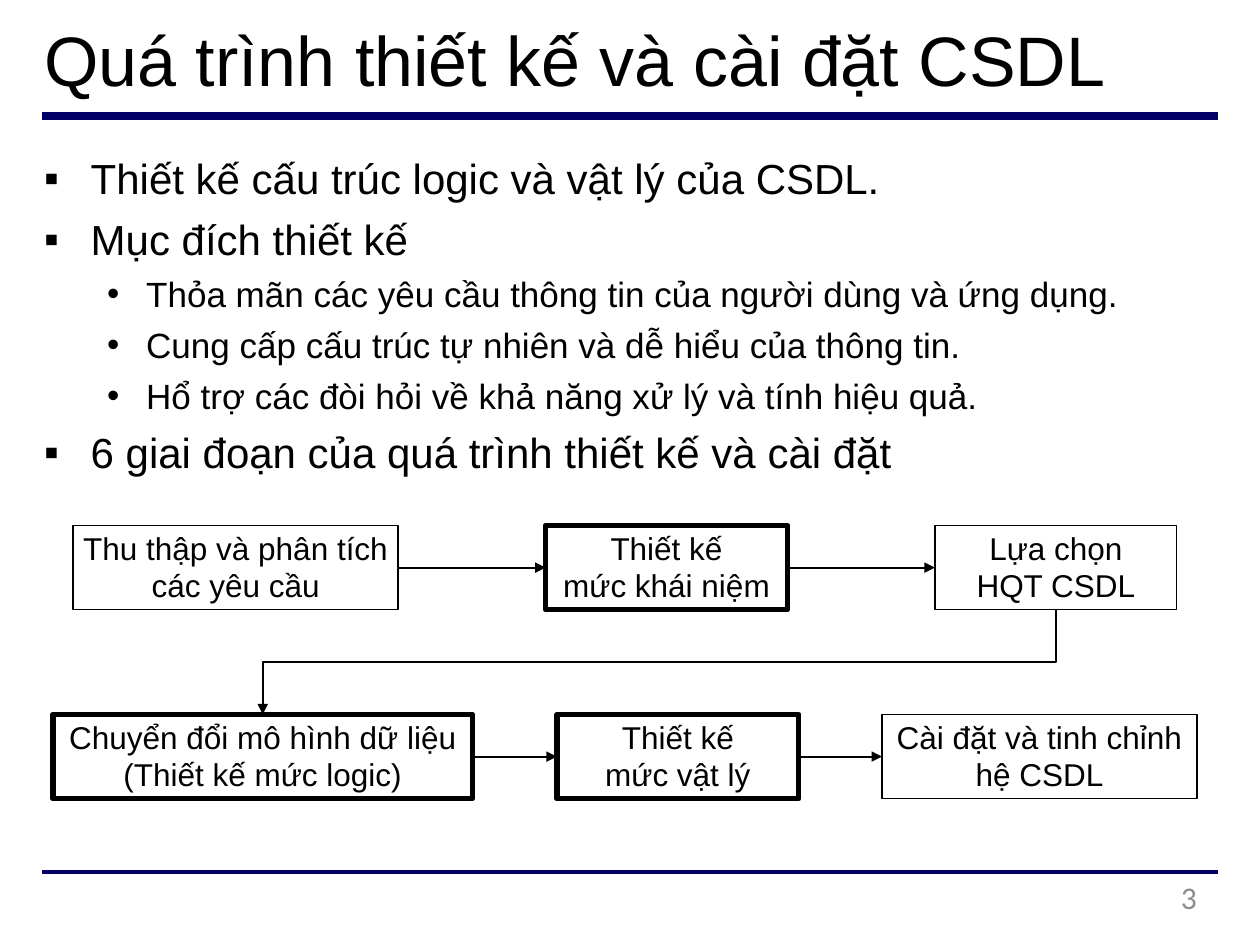
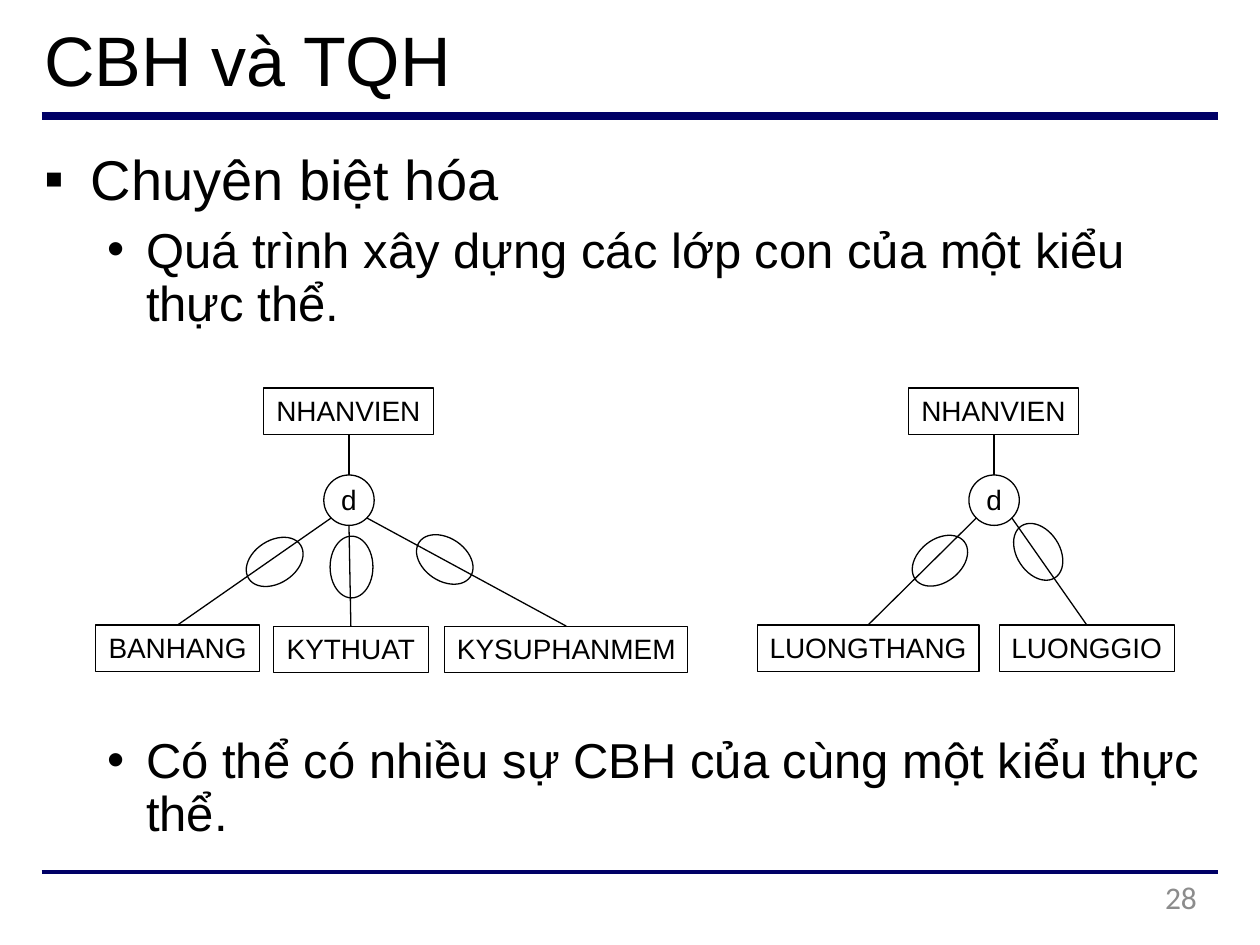
from dataclasses import dataclass
from lxml.etree import SubElement
from pptx import Presentation
from pptx.dml.color import RGBColor
from pptx.enum.shapes import MSO_CONNECTOR, MSO_SHAPE
from pptx.enum.text import MSO_ANCHOR, MSO_AUTO_SIZE, PP_ALIGN
from pptx.oxml.ns import qn
from pptx.util import Inches, Pt


@dataclass(frozen=True)
class Theme:
    ink: RGBColor = RGBColor(0x00, 0x00, 0x00)
    navy: RGBColor = RGBColor(0x00, 0x00, 0x66)
    grey: RGBColor = RGBColor(0x8C, 0x8C, 0x8C)
    face: str = "Arial"
    page_face: str = "Calibri"
    title: int = 40
    step: int = 18
    node: int = 16
    page: int = 18
    thin: float = 0.75
    flow: float = 1.1
    bold: float = 3


@dataclass(frozen=True)
class Level:
    mark: str
    left: float
    hang: float
    size: int
    before: float
    pitch: float = None


THEME = Theme()
SMALL = (Level("▪", 0.38, 0.37, 24, 6), Level("•", 0.82, 0.31, 20, 5))
LARGE = (Level("▪", 0.38, 0.37, 32, 5.3),
         Level("•", 0.82, 0.31, 28, 7.6, 30.2))


# Text
def style(para, size, color=THEME.ink, face=THEME.face):
    para.font.size = Pt(size)
    para.font.name = face
    para.font.color.rgb = color


def place(shape, left, top, width, height):
    shape.left, shape.top = Inches(left), Inches(top)
    shape.width, shape.height = Inches(width), Inches(height)


def set_frame(shape, lead=0, anchor=MSO_ANCHOR.TOP):
    frame = shape.text_frame
    frame.margin_left = frame.margin_right = frame.margin_bottom = 0
    frame.margin_top = Inches(lead)
    frame.auto_size = MSO_AUTO_SIZE.NONE
    frame.word_wrap = True
    frame.vertical_anchor = anchor
    return frame


def add_list(shape, box, lead, levels, items):
    place(shape, *box)
    frame = set_frame(shape, lead)
    frame.text = "\n".join(text for _, text in items)
    for i, (para, (depth, _)) in enumerate(zip(frame.paragraphs, items)):
        level = levels[depth]
        para.level = depth
        props = para._p.get_or_add_pPr()
        props.set("marL", str(Inches(level.left)))
        props.set("indent", str(-Inches(level.hang)))
        SubElement(props, qn("a:buFont")).set("typeface", THEME.face)
        SubElement(props, qn("a:buChar")).set("char", level.mark)
        para.space_before = Pt(level.before if i else 0)
        if level.pitch:
            para.line_spacing = Pt(level.pitch)
        style(para, level.size)


# Lines and shapes
def set_line(shape, weight, color=THEME.ink):
    shape.line.color.rgb = color
    shape.line.width = Pt(weight)


def add_line(slide, start, end, weight=THEME.thin, color=THEME.ink):
    line = slide.shapes.add_connector(
        MSO_CONNECTOR.STRAIGHT, *map(Inches, start + end))
    set_line(line, weight, color)
    SubElement(line._element.spPr, qn("a:effectLst"))
    return line


def add_head(shape):
    shape.line._get_or_add_ln().append(
        shape._element.makeelement(qn("a:tailEnd"), {"type": "triangle"}))


def add_shape(slide, kind, box, weight=THEME.thin, text="", size=THEME.node):
    shape = slide.shapes.add_shape(kind, *map(Inches, box))
    shape.shadow.inherit = False
    shape.fill.background()
    set_line(shape, weight)
    if text:
        frame = set_frame(shape, anchor=MSO_ANCHOR.MIDDLE)
        frame.margin_bottom = Inches(0.02)
        frame.text = text
        for para in frame.paragraphs:
            para.alignment = PP_ALIGN.CENTER
            style(para, size)
    return shape


def add_arrow(slide, source, target):
    line = add_line(slide, (0, 0), (0, 0), THEME.flow)
    line.begin_connect(source, 3)
    line.end_connect(target, 1)
    add_head(line)


def add_bend(slide, source, target):
    start = source.left + source.width // 2, source.top + source.height
    end = target.left + target.width // 2, target.top
    mid = (start[1] + end[1]) // 2
    path = slide.shapes.build_freeform(*start)
    path.add_line_segments([(start[0], mid), (end[0], mid), end], close=False)
    bend = path.convert_to_shape()
    bend.shadow.inherit = False
    bend.fill.background()
    set_line(bend, THEME.flow)
    add_head(bend)


# Shared slide frame
def add_slide(deck, layout, title, page):
    slide = deck.slides.add_slide(deck.slide_layouts[layout])
    for y, weight in ((0.92, 4.5), (6.92, 2.25)):
        add_line(slide, (0.33, y), (9.67, y), weight, THEME.navy)
    head = slide.shapes.title
    place(head, 0.35, 0.05, 8.5, 0.76)
    frame = set_frame(head, 0.08)
    frame.text = title
    frame.paragraphs[0].alignment = PP_ALIGN.LEFT
    style(frame.paragraphs[0], THEME.title)
    foot = slide.shapes.add_textbox(*map(Inches, (7.2, 6.97, 2.3, 0.38)))
    frame = set_frame(foot)
    frame.text = str(page)
    frame.paragraphs[0].alignment = PP_ALIGN.RIGHT
    style(frame.paragraphs[0], THEME.page, THEME.grey, THEME.page_face)
    return slide


# Flow of design steps
def add_row(slide, top, steps):
    boxes = [add_shape(slide, MSO_SHAPE.RECTANGLE, (left, top, width, 0.67),
                       weight, text, THEME.step)
             for left, width, weight, text in steps]
    for source, target in zip(boxes, boxes[1:]):
        add_arrow(slide, source, target)
    return boxes


def add_design(deck):
    slide = add_slide(deck, 1, "Quá trình thiết kế và cài đặt CSDL", 3)
    add_list(slide.placeholders[1], (0.34, 1.11, 8.8, 2.69), 0.1, SMALL, [
        (0, "Thiết kế cấu trúc logic và vật lý của CSDL."),
        (0, "Mục đích thiết kế"),
        (1, "Thỏa mãn các yêu cầu thông tin của người dùng và ứng dụng."),
        (1, "Cung cấp cấu trúc tự nhiên và dễ hiểu của thông tin."),
        (1, "Hổ trợ các đòi hỏi về khả năng xử lý và tính hiệu quả."),
        (0, "6 giai đoạn của quá trình thiết kế và cài đặt"),
    ])
    upper = add_row(slide, 4.17, [
        (0.58, 2.58, THEME.thin, "Thu thập và phân tích\ncác yêu cầu"),
        (4.33, 1.92, THEME.bold, "Thiết kế\nmức khái niệm"),
        (7.42, 1.92, THEME.thin, "Lựa chọn\nHQT CSDL"),
    ])
    lower = add_row(slide, 5.67, [
        (0.42, 3.33, THEME.bold,
         "Chuyển đổi mô hình dữ liệu\n(Thiết kế mức logic)"),
        (4.42, 1.92, THEME.bold, "Thiết kế\nmức vật lý"),
        (7, 2.5, THEME.thin, "Cài đặt và tinh chỉnh\nhệ CSDL"),
    ])
    add_bend(slide, upper[-1], lower[0])


# Tree of a parent type and its subtypes
def add_node(slide, left, top, width, text):
    add_shape(slide, MSO_SHAPE.RECTANGLE, (left, top, width, 0.37),
              text=text)


def add_tree(slide, mid, parent, kids):
    add_node(slide, mid - 0.68, 3.08, 1.35, parent)
    add_line(slide, (mid, 3.45), (mid, 3.77))
    add_shape(slide, MSO_SHAPE.OVAL, (mid - 0.2, 3.77, 0.4, 0.4), text="d")
    for left, top, width, text, side, ring, tilt in kids:
        add_node(slide, left, top, width, text)
        start = mid + 0.14 * side, 4.11 if side else 4.17
        add_line(slide, start, (left + width / 2, top))
        x, y = ring
        oval = add_shape(slide, MSO_SHAPE.OVAL,
                         (x - 0.17, y - 0.245, 0.34, 0.49))
        oval.rotation = tilt


def add_types(deck):
    slide = add_slide(deck, 3, "CBH và TQH", 28)
    add_list(slide.placeholders[1], (0.34, 1.08, 8.62, 1.56), 0.07, LARGE, [
        (0, "Chuyên biệt hóa"),
        (1, "Quá trình xây dựng các lớp con của một kiểu thực thể."),
    ])
    add_list(slide.placeholders[2], (0.34, 5.77, 9.21, 0.91), 0.07, LARGE, [
        (1, "Có thể có nhiều sự CBH của cùng một kiểu thực thể."),
    ])
    add_tree(slide, 2.77, "NHANVIEN", [
        (0.76, 4.96, 1.3, "BANHANG", -1, (2.18, 4.46), 57),
        (2.17, 4.97, 1.23, "KYTHUAT", 0, (2.79, 4.5), 0),
        (3.53, 4.97, 1.93, "KYSUPHANMEM", 1, (3.53, 4.44), -56),
    ])
    add_tree(slide, 7.89, "NHANVIEN", [
        (6.01, 4.96, 1.76, "LUONGTHANG", -1, (7.46, 4.45), 52),
        (7.93, 4.96, 1.39, "LUONGGIO", 1, (8.24, 4.38), -33),
    ])


def main():
    deck = Presentation()
    deck.slide_width, deck.slide_height = Inches(10), Inches(7.5)
    add_design(deck)
    add_types(deck)
    deck.save("out.pptx")


if __name__ == "__main__":
    main()
